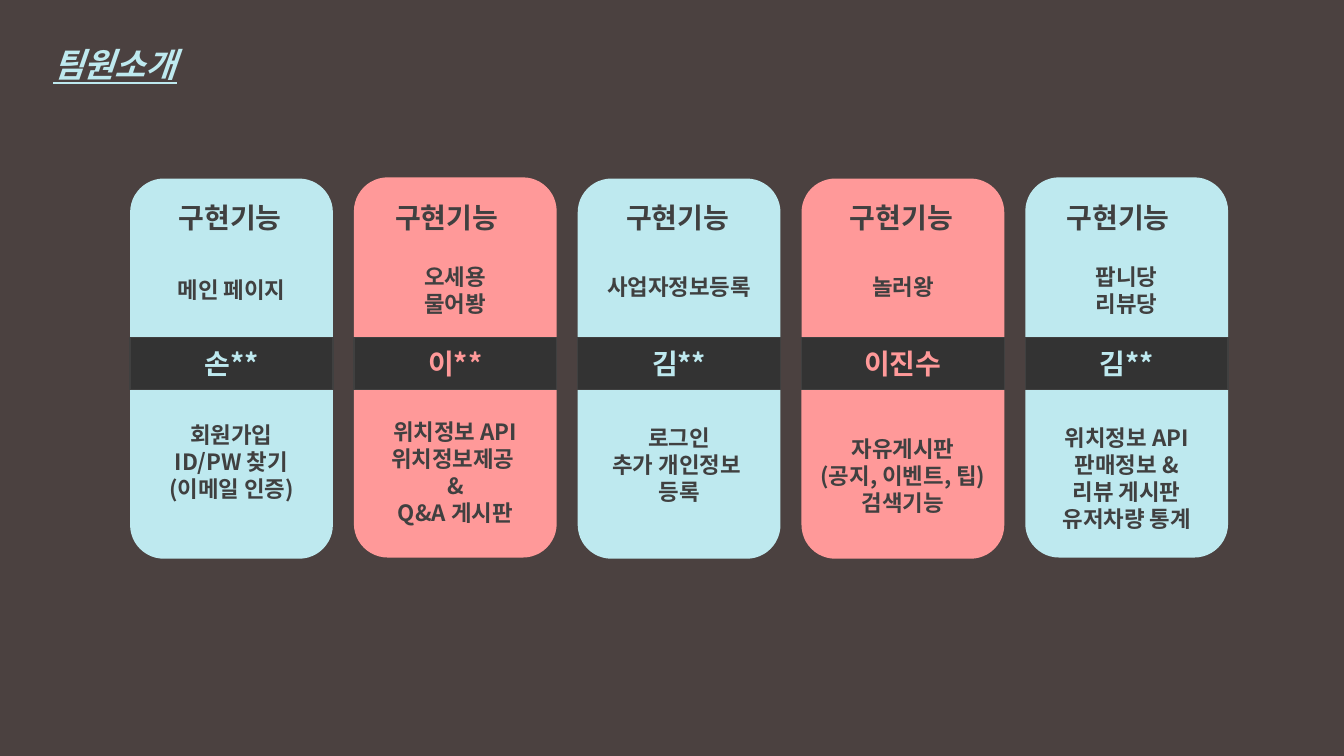
from dataclasses import dataclass

from lxml import etree
from pptx import Presentation
from pptx import util as u
from pptx.dml import color
from pptx.enum import shapes, text
from pptx.oxml import ns


@dataclass(frozen=True)
class Theme:
    back: str = "4B4140"
    blue: str = "BEE9EF"
    pink: str = "FF9999"
    band: str = "333333"
    ink: str = "404040"
    face: str = "Noto Sans CJK KR"
    title: int = 24
    head: int = 20
    body: int = 16


@dataclass(frozen=True)
class Card:
    name: str
    fill: str
    tasks: list
    tall: float
    notes: list
    low: float
    lift: bool = False


THEME = Theme()
LEFT, TOP, WIDE, HIGH, STEP = 3.28, 4.5, 5.11, 9.58, 5.64
CARDS = [
    Card("손**", THEME.blue, ["메인 페이지"], 2.33,
         ["회원가입", "ID/PW 찾기", "(이메일 인증)"], 5.99),
    Card("이**", THEME.pink, ["오세용", "물어봥"], 2.01,
         ["위치정보 API", "위치정보제공 ", "&", "Q&A 게시판"], 5.92, True),
    Card("김**", THEME.blue, ["사업자정보등록"], 2.26,
         ["로그인", "추가 개인정보 ", "등록"], 6.07),
    Card("이진수", THEME.pink, ["놀러왕"], 2.26,
         ["자유게시판", "(공지, 이벤트, 팁)", "검색기능"], 6.35),
    Card("김**", THEME.blue, ["팝니당", "리뷰당"], 2.01,
         ["위치정보 API", "판매정보 &", "리뷰 게시판", "유저차량 통계"], 6.07, True),
]


def rgb(code):
    return color.RGBColor.from_string(code)


def write(frame, lines, size, ink, align=text.PP_ALIGN.CENTER):
    frame.word_wrap = True
    frame.text = "\n".join(lines)
    for para in frame.paragraphs:
        para.alignment = align
        font = para.font
        font.size, font.bold, font.name = u.Pt(size), True, THEME.face
        font.color.rgb = rgb(ink)
        props = para._p.pPr.find(ns.qn("a:defRPr"))
        etree.SubElement(props, ns.qn("a:ea"), typeface=THEME.face)


def block(slide, kind, box, fill):
    shape = slide.shapes.add_shape(kind, *map(u.Cm, box))
    shape.shadow.inherit = False
    shape.fill.solid()
    shape.fill.fore_color.rgb = rgb(fill)
    shape.line.fill.background()
    return shape


def label(slide, box, lines, size, align=text.PP_ALIGN.CENTER):
    frame = slide.shapes.add_textbox(*map(u.Cm, box)).text_frame
    write(frame, lines, size, THEME.ink, align)
    frame.auto_size = text.MSO_AUTO_SIZE.SHAPE_TO_FIT_TEXT


def depth(lines):
    return 0.25 + 0.69 * len(lines)


def add_title(slide, box):
    title = slide.shapes.title
    title.left, title.top, title.width, title.height = map(u.Cm, box)
    frame = title.text_frame
    write(frame, ["팀원소개"], THEME.title, THEME.blue)
    frame.vertical_anchor = text.MSO_ANCHOR.TOP
    frame.auto_size = text.MSO_AUTO_SIZE.NONE
    para = frame.paragraphs[0]
    para.line_spacing = 1.5
    para.font.italic = para.font.underline = True


def add_card(slide, box, card):
    left, top, wide, high = box
    rise = 0.03 if card.lift else 0
    block(slide, shapes.MSO_SHAPE.ROUNDED_RECTANGLE,
          (left, top - rise, wide, high), card.fill)
    band = block(slide, shapes.MSO_SHAPE.RECTANGLE,
                 (left, top + 4, wide, 1.32), THEME.band)
    band.line.color.rgb = rgb(THEME.ink)
    band.line.width = u.Pt(1)
    write(band.text_frame, [card.name], THEME.head, card.fill)
    band.text_frame.vertical_anchor = text.MSO_ANCHOR.MIDDLE
    inset = 0.79 if card.lift else 0.97
    label(slide, (left + inset, top + 0.43, 3.51, 1.12), ["구현기능"],
          THEME.head, text.PP_ALIGN.LEFT)
    for lines, drop in ((card.tasks, card.tall), (card.notes, card.low)):
        label(slide, (left, top + drop, wide, depth(lines)), lines, THEME.body)


def main():
    deck = Presentation()
    deck.slide_width, deck.slide_height = u.Cm(33.87), u.Cm(19.05)
    slide = deck.slides.add_slide(deck.slide_layouts[5])
    slide.background.fill.solid()
    slide.background.fill.fore_color.rgb = rgb(THEME.back)
    add_title(slide, (0.66, 0.48, 4.47, 1.6))
    for spot, card in enumerate(CARDS):
        add_card(slide, (LEFT + spot * STEP, TOP, WIDE, HIGH), card)
    deck.save("out.pptx")


if __name__ == "__main__":
    main()
